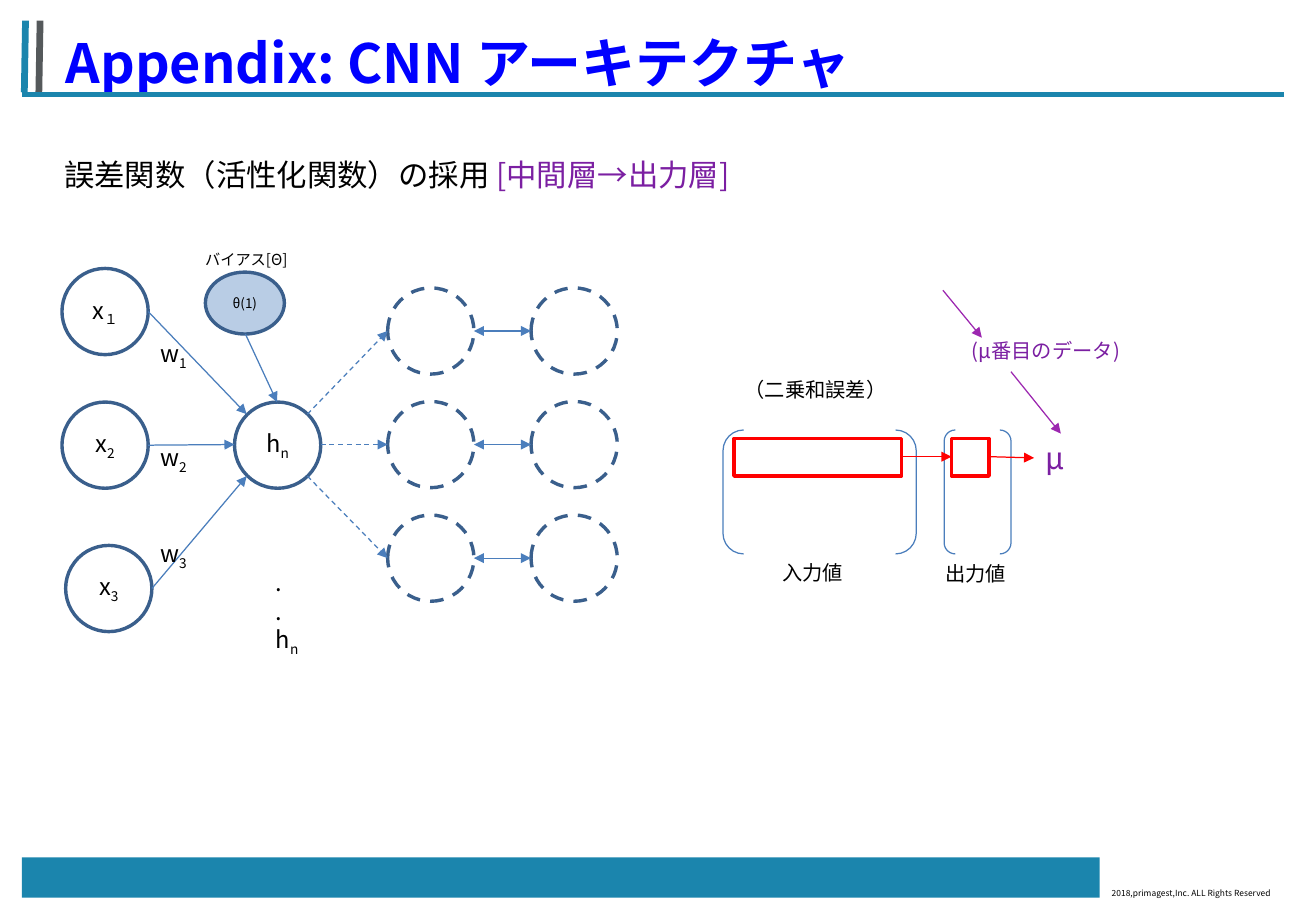
from dataclasses import dataclass

from lxml import etree
from pptx import Presentation
from pptx.dml.color import RGBColor
from pptx.enum.dml import MSO_LINE
from pptx.enum.shapes import MSO_CONNECTOR, MSO_SHAPE
from pptx.enum.text import MSO_ANCHOR, MSO_AUTO_SIZE, PP_ALIGN
from pptx.oxml.ns import qn
from pptx.util import Inches, Pt

ELLIPSE, RECTANGLE, BRACKETS = MSO_SHAPE.OVAL, MSO_SHAPE.RECTANGLE, MSO_SHAPE.DOUBLE_BRACKET
STRAIGHT, DASH = MSO_CONNECTOR.STRAIGHT, MSO_LINE.DASH
LEFT, CENTER = PP_ALIGN.LEFT, PP_ALIGN.CENTER
TOP, MIDDLE = MSO_ANCHOR.TOP, MSO_ANCHOR.MIDDLE
FIXED_SIZE = MSO_AUTO_SIZE.NONE
TITLE_ONLY = 5


@dataclass(frozen=True)
class Theme:
    font: str = "Noto Sans CJK JP"
    black: str = "000000"
    title: str = "0000FF"
    teal: str = "1B85AD"
    gray: str = "55595B"
    outline: str = "3A5F8C"
    link: str = "4B7EBC"
    bias: str = "B9CDE5"
    red: str = "FF0000"
    purple: str = "7B1FA2"
    violet: str = "9C27B0"
    title_size: float = 32
    heading_size: float = 18
    node_size: float = 14
    label_size: float = 12
    caption_size: float = 9
    bias_size: float = 8
    footer_size: float = 5
    node_line: float = 2
    thin_line: float = 0.75


THEME = Theme()


@dataclass(frozen=True)
class Span:
    text: str
    color: str | None = None
    subscript: bool = False


@dataclass(frozen=True)
class Label:
    left: float
    top: float
    width: float
    height: float
    lines: tuple[tuple[Span, ...], ...]
    size: float = THEME.label_size
    color: str = THEME.black
    anchor: MSO_ANCHOR = TOP
    wrap: bool = False


@dataclass(frozen=True)
class Figure:
    kind: MSO_SHAPE
    left: float
    top: float
    width: float
    height: float
    line: str | None = THEME.outline
    weight: float = THEME.node_line
    fill: str | None = None
    dashed: bool = False
    spans: tuple[Span, ...] = ()
    size: float = THEME.node_size


@dataclass(frozen=True)
class Link:
    start: tuple[float, float]
    end: tuple[float, float]
    color: str = THEME.link
    weight: float = THEME.thin_line
    dashed: bool = False
    ends: tuple[str, ...] = ("tailEnd",)


def plain(text: str) -> tuple[tuple[Span, ...], ...]:
    return ((Span(text),),)


def indexed(letter: str, index: str) -> tuple[Span, ...]:
    return Span(letter), Span(index, subscript=True)


def write(frame, lines, size, color, align=LEFT, anchor=TOP, wrap=False, bold=False) -> None:
    frame.word_wrap = wrap
    frame.auto_size = FIXED_SIZE
    frame.vertical_anchor = anchor
    for number, spans in enumerate(lines):
        para = frame.add_paragraph() if number else frame.paragraphs[0]
        para.alignment = align
        font = para.font
        font.name, font.size, font.bold = THEME.font, Pt(size), bold
        font.color.rgb = RGBColor.from_string(color)
        defaults = para._p.pPr.find(qn("a:defRPr"))
        etree.SubElement(defaults, qn("a:ea")).set("typeface", THEME.font)
        for span in spans:
            run = para.add_run()
            run.text = span.text
            if span.color:
                run.font.color.rgb = RGBColor.from_string(span.color)
            if span.subscript:
                run._r.get_or_add_rPr().set("baseline", "-25000")


def style_line(line, color: str, weight: float, dashed: bool) -> None:
    line.color.rgb = RGBColor.from_string(color)
    line.width = Pt(weight)
    if dashed:
        line.dash_style = DASH


def draw_figure(page, figure: Figure) -> None:
    shape = page.shapes.add_shape(figure.kind, Inches(figure.left), Inches(figure.top),
                                  Inches(figure.width), Inches(figure.height))
    shape.shadow.inherit = False
    if figure.fill:
        shape.fill.solid()
        shape.fill.fore_color.rgb = RGBColor.from_string(figure.fill)
    else:
        shape.fill.background()
    if figure.line:
        style_line(shape.line, figure.line, figure.weight, figure.dashed)
    else:
        shape.line.fill.background()
    if figure.spans:
        write(shape.text_frame, (figure.spans,), figure.size, THEME.black, CENTER, MIDDLE)


def draw_link(page, link: Link) -> None:
    connector = page.shapes.add_connector(STRAIGHT, *map(Inches, link.start + link.end))
    style_line(connector.line, link.color, link.weight, link.dashed)
    properties = connector._element.spPr
    for end in link.ends:
        etree.SubElement(properties.find(qn("a:ln")), qn(f"a:{end}")).set("type", "triangle")
    etree.SubElement(properties, qn("a:effectLst"))


def draw_label(page, label: Label) -> None:
    box = page.shapes.add_textbox(Inches(label.left), Inches(label.top),
                                  Inches(label.width), Inches(label.height))
    write(box.text_frame, label.lines, label.size, label.color, LEFT, label.anchor, label.wrap)


def draw_title(page) -> None:
    title = page.shapes.title
    title.left, title.top, title.width, title.height = map(Inches, (0.44, 0.19, 7.09, 0.64))
    write(title.text_frame, plain("Appendix: CNN アーキテクチャ"), THEME.title_size,
          THEME.title, bold=True)


NODE = 0.71
RADIUS = NODE / 2
OUTER_LEFT, OUTER_STEP = 3.19, 1.18
OUTER_TOPS = [2.37 + 0.935 * row for row in range(3)]
BOTH_ENDS = ("headEnd", "tailEnd")

INPUTS = [(0.51, 2.21, "１"), (0.51, 3.31, "2"), (0.54, 4.49, "3")]
HIDDEN_ENTRIES = [(2.03, 3.41), (1.93, 3.66), (2.03, 3.92)]
HIDDEN_EXITS = [(2.53, 3.41), (2.64, 3.66), (2.53, 3.92)]

FIGURES = [
    Figure(RECTANGLE, 0.18, 7.06, 8.87, 0.33, line=None, fill=THEME.teal),
    *(Figure(ELLIPSE, left, top, NODE, NODE, spans=indexed("x", index))
      for left, top, index in INPUTS),
    Figure(ELLIPSE, 1.93, 3.31, NODE, NODE, spans=indexed("h", "n")),
    Figure(ELLIPSE, 1.69, 2.24, 0.65, 0.51, fill=THEME.bias,
           spans=(Span("θ(1)"),), size=THEME.bias_size),
    *(Figure(ELLIPSE, OUTER_LEFT + OUTER_STEP * column, top, NODE, NODE, dashed=True)
      for column in range(2) for top in OUTER_TOPS),
    *(Figure(BRACKETS, left, 3.54, width, 1.02, THEME.link, THEME.thin_line)
      for left, width in [(5.95, 1.59), (7.77, 0.55)]),
    *(Figure(RECTANGLE, left, 3.61, width, 0.31, THEME.red)
      for left, width in [(6.04, 1.38), (7.83, 0.31)]),
]

LINKS = [
    Link((0.2, 0.76), (0.21, 0.17), THEME.teal, 4, ends=()),
    Link((0.32, 0.76), (0.33, 0.17), THEME.gray, 4, ends=()),
    Link((0.18, 0.78), (10.57, 0.78), THEME.teal, 2.75, ends=()),
    *(Link((left + NODE, top + RADIUS), entry)
      for (left, top, _), entry in zip(INPUTS, HIDDEN_ENTRIES)),
    Link((2.02, 2.75), (2.28, 3.31)),
    *(Link(leave, (OUTER_LEFT, top + RADIUS), dashed=True)
      for leave, top in zip(HIDDEN_EXITS, OUTER_TOPS)),
    *(Link((OUTER_LEFT + NODE, top + RADIUS), (OUTER_LEFT + OUTER_STEP, top + RADIUS),
           ends=BOTH_ENDS) for top in OUTER_TOPS),
    Link((7.42, 3.76), (7.83, 3.76), THEME.red),
    Link((8.15, 3.76), (8.51, 3.77), THEME.red),
    Link((7.76, 2.39), (8.08, 2.78), THEME.violet),
    Link((8.32, 3.06), (8.73, 3.57), THEME.violet),
]

LABELS = [
    Label(9.05, 7.26, 1.62, 0.19, plain("2018,primagest,Inc. ALL Rights Reserved"),
          THEME.footer_size, anchor=MIDDLE),
    Label(0.43, 1.24, 5.77, 0.4, ((Span("誤差関数（活性化関数）の採用 "),
                                   Span("[中間層→出力層]", THEME.purple)),),
          THEME.heading_size, wrap=True),
    Label(1.59, 2.01, 0.97, 0.25, plain("バイアス[Θ]"), THEME.caption_size),
    *(Label(1.22, top, 0.43, 0.34, (indexed("w", index),), THEME.node_size)
      for top, index in [(2.74, "1"), (3.6, "2"), (4.39, "3")]),
    Label(2.17, 4.63, 0.39, 0.81, ((Span("."),), (Span("."),), indexed("h", "n")),
          THEME.node_size),
    Label(8.51, 3.57, 0.44, 0.4, plain("μ"), THEME.heading_size, THEME.purple, wrap=True),
    Label(7.9, 2.74, 1.59, 0.3, plain("(μ番目のデータ)"), color=THEME.purple, wrap=True),
    Label(6.03, 3.06, 1.42, 0.3, plain("（二乗和誤差）"), wrap=True),
    Label(6.34, 4.56, 0.83, 0.3, plain("入力値"), wrap=True),
    Label(7.68, 4.57, 0.83, 0.3, plain("出力値"), wrap=True),
]


def main() -> None:
    deck = Presentation()
    deck.slide_width, deck.slide_height = Inches(10.83), Inches(7.5)
    page = deck.slides.add_slide(deck.slide_layouts[TITLE_ONLY])
    draw_title(page)
    for figure in FIGURES:
        draw_figure(page, figure)
    for link in LINKS:
        draw_link(page, link)
    for label in LABELS:
        draw_label(page, label)
    deck.save("out.pptx")


if __name__ == "__main__":
    main()
